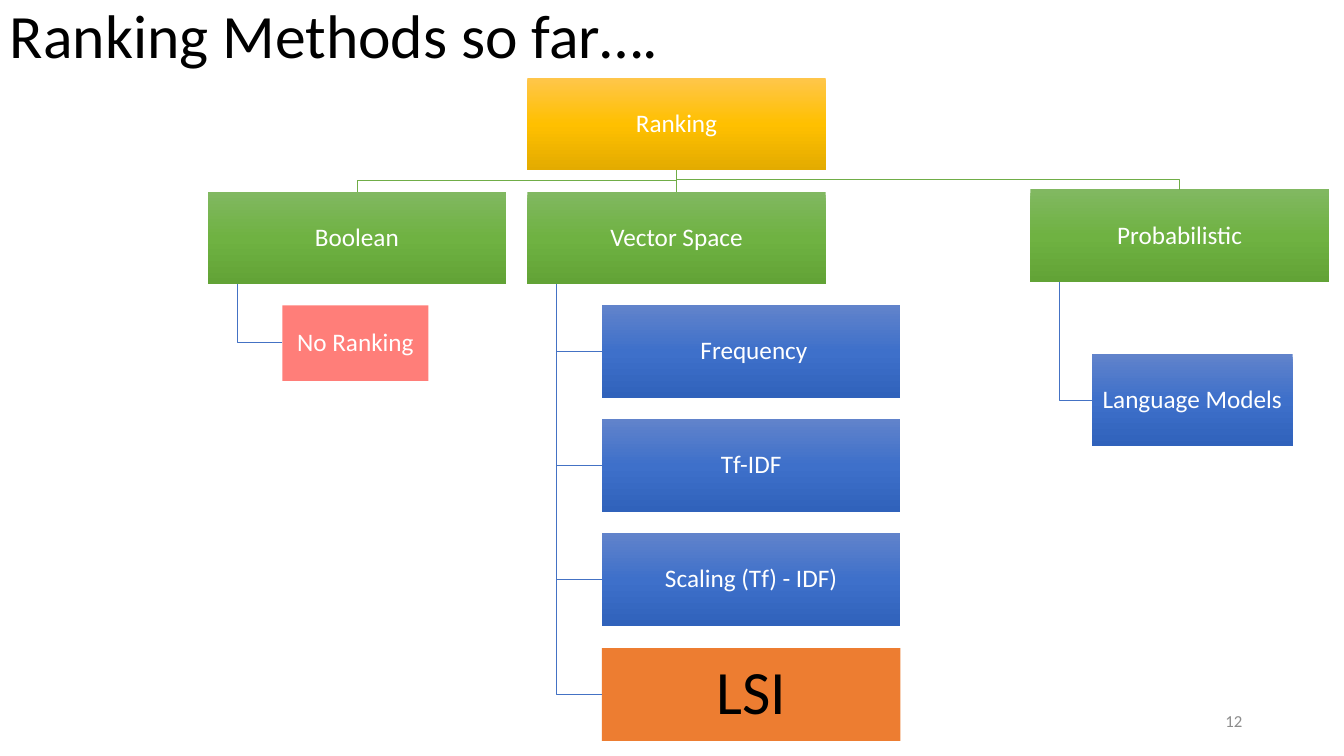
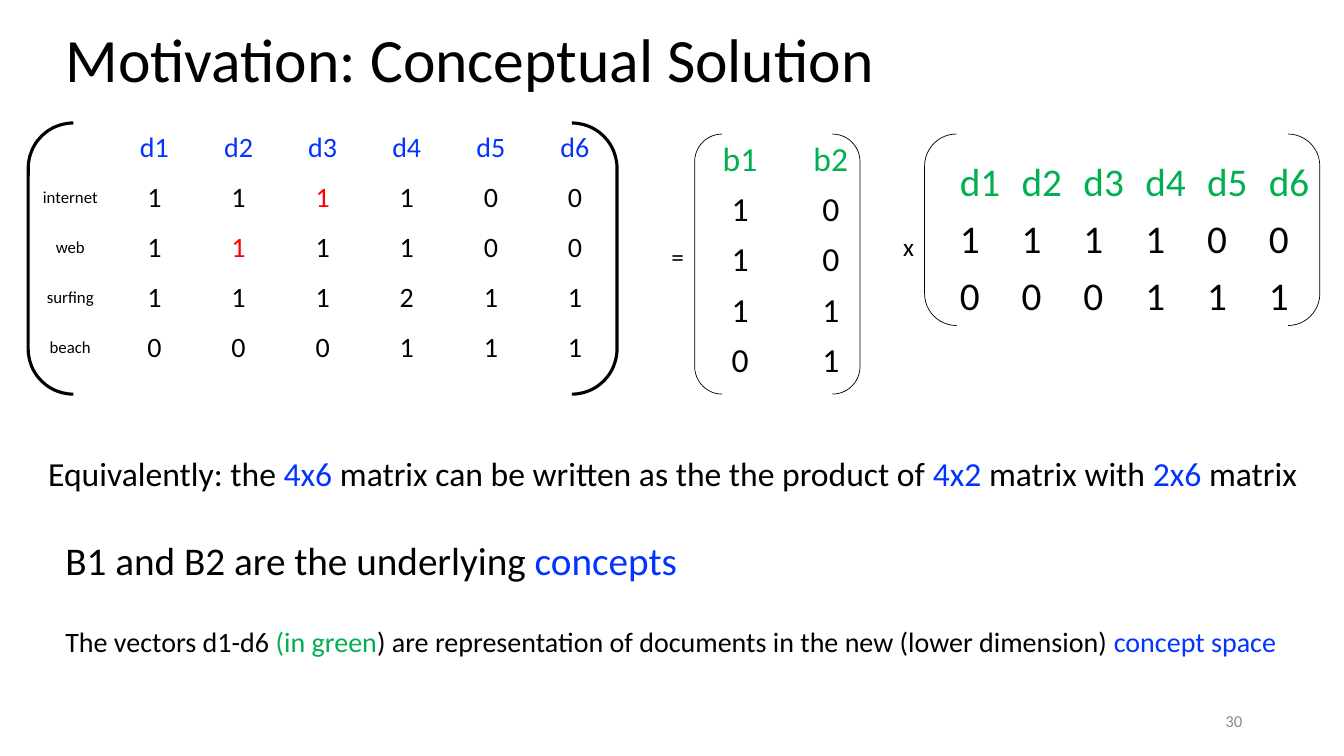
"""Build two slides on ranking methods and the concept matrix factorisation."""
from copy import deepcopy
from dataclasses import dataclass, field

from pptx import Presentation
from pptx.dml.color import RGBColor
from pptx.enum import shapes, text
from pptx.oxml import ns, xmlchemy
from pptx.util import Emu, Pt

SCALE = 9144


@dataclass(frozen=True)
class Theme:
    """Colours, font and type sizes shared by the slides."""
    font: str = "Calibri"
    black: str = "000000"
    white: str = "FFFFFF"
    grey: str = "8C8C8C"
    blue: str = "0432FF"
    green: str = "00B050"
    red: str = "FF0000"
    gold_fill: tuple = ("FFC64B", "FFC000", "E3AB00")
    green_fill: tuple = ("81B861", "6FB242", "62A336")
    blue_fill: tuple = ("6183CB", "3E70CA", "3062BB")
    pink_fill: tuple = ("FF7E79",)
    orange_fill: tuple = ("ED7D31",)
    root_line: str = "70AD47"
    leaf_line: str = "4472C4"
    title: int = 44
    large: int = 28
    medium: int = 24
    body: int = 20
    label: int = 18
    small: int = 12


T = Theme()


@dataclass(frozen=True)
class Box:
    """A rectangle in px."""
    x: int
    y: int
    w: int
    h: int

    def emu(self) -> tuple:
        """Return left, top, width and height in EMU."""
        return tuple(px(v) for v in (self.x, self.y, self.w, self.h))


@dataclass(frozen=True)
class Run:
    """A piece of text in one colour."""
    text: str
    color: str = T.black


@dataclass(frozen=True)
class Node:
    """A box of the ranking tree with the boxes below it."""
    text: str
    box: Box
    fill: tuple = T.blue_fill
    color: str = T.white
    size: int = T.label
    children: list = field(default_factory=list)


@dataclass(frozen=True)
class Matrix:
    """A bracketed table with a coloured heading row."""
    box: Box
    bracket: Box
    rows: list
    head: str
    size: int
    weight: float = 0.5
    align: text.PP_ALIGN = text.PP_ALIGN.CENTER
    marked: tuple = ()


@dataclass(frozen=True)
class Line:
    """A single line of text that does not wrap."""
    box: Box
    size: int
    runs: list


def px(n: int) -> Emu:
    """Turn px into EMU."""
    return Emu(n * SCALE)


def rgb(color: str) -> RGBColor:
    """Turn a hex string into a colour."""
    return RGBColor.from_string(color)


def write(p, runs: list, size: int, align=None, spacing=None) -> None:
    """Add runs to a paragraph."""
    p.alignment = align
    p.line_spacing = spacing
    for run in runs:
        r = p.add_run()
        r.text = run.text
        r.font.name = T.font
        r.font.size = Pt(size)
        r.font.color.rgb = rgb(run.color)


def add_text(s, box: Box, runs: list, size: int, wrap: bool = True,
             anchor=text.MSO_ANCHOR.MIDDLE, align=None, spacing=None) -> None:
    """Add a text box."""
    tf = s.shapes.add_textbox(*box.emu()).text_frame
    tf.word_wrap = wrap
    tf.vertical_anchor = anchor
    write(tf.paragraphs[0], runs, size, align, spacing)


def add_slide(prs, title: str, box: Box, number: str):
    """Add a blank slide with its title and number."""
    s = prs.slides.add_slide(prs.slide_layouts[6])
    add_text(s, box, [Run(title)], T.title, spacing=0.9)
    add_text(s, Box(942, 695, 300, 40), [Run(number, T.grey)], T.small,
             align=text.PP_ALIGN.RIGHT)
    return s


def paint(sp, colors: tuple) -> None:
    """Fill a shape with one colour or a downward gradient."""
    if len(colors) == 1:
        sp.fill.solid()
        sp.fill.fore_color.rgb = rgb(colors[0])
        return
    sp.fill.gradient()
    sp.fill.gradient_angle = 270
    stops = sp._element.spPr.find(ns.qn("a:gradFill")).find(ns.qn("a:gsLst"))
    while len(stops) < len(colors):
        stops.append(deepcopy(stops[-1]))
    for i, (stop, color) in enumerate(zip(sp.fill.gradient_stops, colors)):
        stop.position = i / (len(colors) - 1)
        stop.color.rgb = rgb(color)


def add_node(s, node: Node):
    """Draw one box of the tree."""
    sp = s.shapes.add_shape(shapes.MSO_SHAPE.RECTANGLE, *node.box.emu())
    sp.shadow.inherit = False
    sp.line.fill.background()
    paint(sp, node.fill)
    tf = sp.text_frame
    tf.word_wrap = True
    tf.vertical_anchor = text.MSO_ANCHOR.MIDDLE
    tf.margin_left = tf.margin_right = tf.margin_top = tf.margin_bottom = px(1)
    write(tf.paragraphs[0], [Run(node.text, node.color)], node.size,
          text.PP_ALIGN.CENTER, 0.9)
    return sp


def add_bend(s, points: list, color: str) -> None:
    """Draw an open line through the points."""
    fb = s.shapes.build_freeform(*points[0], scale=SCALE)
    fb.add_line_segments(points[1:], close=False)
    sp = fb.convert_to_shape()
    sp.shadow.inherit = False
    sp.fill.background()
    sp.line.color.rgb = rgb(color)
    sp.line.width = Pt(0.5)


def add_straight(s, top, bottom, color: str) -> None:
    """Join the bottom of one box to the top of the next."""
    c = s.shapes.add_connector(shapes.MSO_CONNECTOR.STRAIGHT, 0, 0, 0, 0)
    c.begin_connect(top, 2)
    c.end_connect(bottom, 0)
    c.line.color.rgb = rgb(color)
    c.line.width = Pt(0.5)
    c._element.spPr.append(xmlchemy.OxmlElement("a:effectLst"))


def add_tree(s, root: Node) -> None:
    """Draw the root, its methods and their leaves with joining lines."""
    top = add_node(s, root)
    mid, bottom = root.box.x + root.box.w // 2, root.box.y + root.box.h
    for method in root.children:
        b = method.box
        sp = add_node(s, method)
        center = b.x + b.w // 2
        if center == mid:
            add_straight(s, top, sp, T.root_line)
        else:
            turn = (bottom + b.y) // 2
            add_bend(s, [(mid, bottom), (mid, turn), (center, turn),
                         (center, b.y)], T.root_line)
        trunk = b.x + b.w // 10
        for leaf in method.children:
            add_node(s, leaf)
            y = leaf.box.y + leaf.box.h // 2
            add_bend(s, [(trunk, b.y + b.h), (trunk, y), (leaf.box.x, y)],
                     T.leaf_line)


def add_matrix(s, m: Matrix) -> None:
    """Draw a table and the brackets around it."""
    n_rows, n_cols = len(m.rows), len(m.rows[0])
    table = s.shapes.add_table(n_rows, n_cols, *m.box.emu()).table
    table.first_row = table.horz_banding = False
    for column in table.columns:
        column.width = px(m.box.w) // n_cols
    for i, values in enumerate(m.rows):
        table.rows[i].height = px(m.box.h) // n_rows
        for j, value in enumerate(values):
            cell = table.cell(i, j)
            cell.fill.background()
            cell.vertical_anchor = text.MSO_ANCHOR.MIDDLE
            color = m.head if i == 0 else T.red if (i, j) in m.marked else T.black
            is_term = i > 0 and not value.isdigit()
            if value:
                write(cell.text_frame.paragraphs[0], [Run(value, color)],
                      T.small if is_term else m.size, m.align)
    sp = s.shapes.add_shape(shapes.MSO_SHAPE.DOUBLE_BRACKET, *m.bracket.emu())
    sp.shadow.inherit = False
    sp.fill.background()
    sp.line.color.rgb = rgb(T.black)
    sp.line.width = Pt(m.weight)


def ranking_tree() -> Node:
    """Describe the tree of ranking methods."""
    w, h = 296, 92
    names = [" Frequency", "Tf-IDF", "Scaling (Tf) - IDF)", "LSI"]
    spots = [Box(597, 303 + 340 * i // 3, w, h) for i in range(len(names))]
    leaves = [Node(name, spot) for name, spot in zip(names[:-1], spots)]
    leaves.append(Node(names[-1], spots[-1], T.orange_fill, T.black, T.title))
    return Node("Ranking", Box(523, 77, w, h), T.gold_fill, children=[
        Node("Boolean", Box(206, 190, w, h), T.green_fill, children=[
            Node("No Ranking", Box(280, 303, 145, 75), T.pink_fill)]),
        Node("Vector Space", Box(523, 190, w, h), T.green_fill, children=leaves),
        Node("Probabilistic", Box(1022, 188, w, h), T.green_fill, children=[
            Node("Language Models", Box(1083, 351, 199, h))]),
    ])


DOCS = [f"d{i}" for i in range(1, 7)]
MATRICES = [
    Matrix(Box(28, 122, 584, 248), Box(28, 122, 584, 269),
           [["", *DOCS], ["internet", *"111100"], ["web", *"111100"],
            ["surfing", *"111211"], ["beach", *"000111"]],
           T.blue, T.body, 2.25, marked=((1, 3), (2, 2))),
    Matrix(Box(689, 133, 180, 250), Box(689, 133, 164, 258),
           [["b1", "b2"], *map(list, ("10", "10", "11", "01"))],
           T.green, T.medium),
    Matrix(Box(942, 153, 368, 170), Box(917, 133, 392, 190),
           [DOCS, list("111100"), list("000111")],
           T.green, T.large, align=text.PP_ALIGN.LEFT),
]
LINES = [
    Line(Box(656, 234, 33, 40), T.label, [Run("=")]),
    Line(Box(886, 225, 31, 40), T.label, [Run("x")]),
    Line(Box(38, 444, 1270, 50), T.medium, [
        Run("Equivalently: the "), Run("4x6", T.blue),
        Run(" matrix can be written as the the product of "),
        Run("4x2", T.blue), Run(" matrix with "), Run("2x6", T.blue),
        Run(" matrix")]),
    Line(Box(55, 527, 634, 57), T.large, [
        Run("B1 and B2 are the underlying "), Run("concepts", T.blue)]),
    Line(Box(55, 615, 1233, 44), T.body, [
        Run("The vectors d1-d6 "), Run("(in green", T.green),
        Run(") are representation of documents in the new (lower dimension) "),
        Run("concept space", T.blue)]),
]


def main() -> None:
    """Build and save the slides."""
    prs = Presentation()
    prs.slide_width, prs.slide_height = px(1333), px(750)
    s = add_slide(prs, "Ranking Methods so far….", Box(0, 0, 1150, 76), "12")
    add_tree(s, ranking_tree())
    s = add_slide(prs, "Motivation: Conceptual Solution",
                  Box(55, 21, 1150, 83), "30")
    for m in MATRICES:
        add_matrix(s, m)
    for line in LINES:
        add_text(s, line.box, line.runs, line.size, wrap=False,
                 anchor=text.MSO_ANCHOR.TOP)
    prs.save("out.pptx")


if __name__ == "__main__":
    main()
